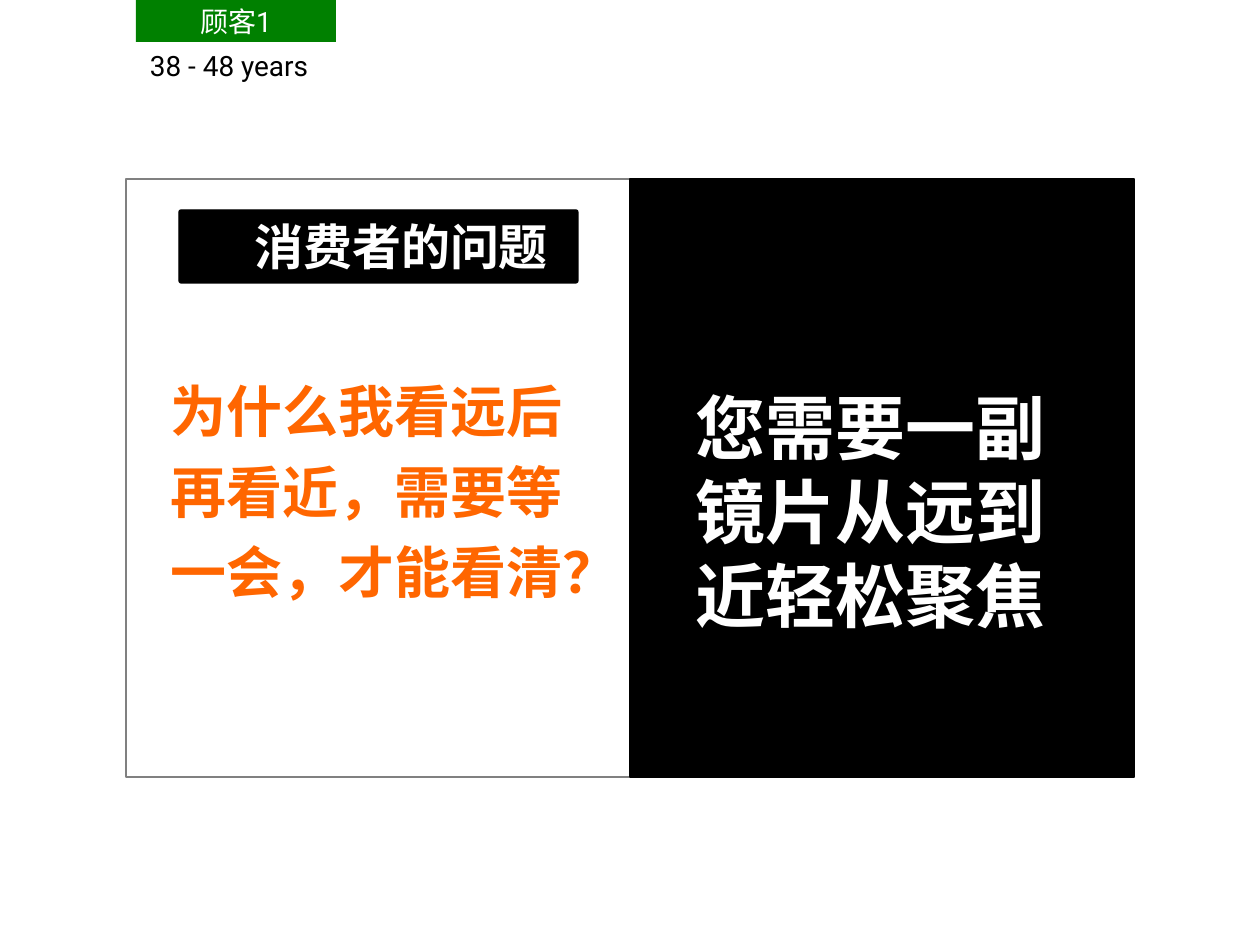
from pptx import Presentation, util as u
from pptx.dml.color import RGBColor
from pptx.enum import shapes as s, text as t

PX = 914400 / 126  # EMU per px


def rgb(value):
    return RGBColor.from_string(value)


def write(shape, words, color, wrap, spacing=None, align=None, **font):
    frame = shape.text_frame
    frame.word_wrap = wrap
    paragraph = frame.paragraphs[0]
    paragraph.line_spacing = spacing
    paragraph.alignment = align
    run = paragraph.add_run()
    run.text = words
    run.font.color.rgb = rgb(color)
    for key, value in font.items():
        setattr(run.font, key, value)


deck = Presentation()
deck.slide_width, deck.slide_height = u.Inches(10), u.Inches(7.5)
slide = deck.slides.add_slide(deck.slide_layouts[6])

# Fonts shared by the headline texts and by the customer label
customer = dict(name="Roboto", size=u.Pt(16), align=t.PP_ALIGN.CENTER)
heading = dict(name="Arial", size=u.Pt(28), bold=True)
question = dict(name="Noto Sans CJK SC", size=u.Pt(32), bold=True, spacing=1.2)
answer = dict(name="Arial", size=u.Pt(40), bold=True)

# Parts from back to front: box, preset, fill, line, words, colour, wrap, format
RECT, ROUND = s.MSO_SHAPE.RECTANGLE, s.MSO_SHAPE.ROUNDED_RECTANGLE
parts = [
    # Consumer's question and its heading bar
    ((158, 357, 462, 335), None, None, None,
     "为什么我看远后再看近，需要等一会，才能看清？", "FF6600", True, question),
    ((179, 210, 399, 73), ROUND, "000000", "000000", None, None, None, None),
    ((242, 210, 319, 72), None, None, None, "消费者的问题", "FFFFFF", False, heading),
    # Outer frame and black answer panel
    ((126, 179, 1008, 598), RECT, None, "808080", None, None, None, None),
    ((630, 179, 504, 598), RECT, "000000", "000000", None, None, None, None),
    ((683, 378, 410, 265), None, None, None,
     "您需要一副镜片从远到近轻松聚焦", "FFFFFF", True, answer),
    # Customer label and age range
    ((136, 0, 200, 42), RECT, "008000", None, "顾客1", "FFFFFF", False, customer),
    ((136, 42, 186, 47), None, None, None, "38 - 48 years", "000000", False, customer),
]

for box, preset, fill, line, words, color, wrap, style in parts:
    place = [round(length * PX) for length in box]
    if preset is None:
        part = slide.shapes.add_textbox(*place)
        part.text_frame.auto_size = t.MSO_AUTO_SIZE.SHAPE_TO_FIT_TEXT
    else:
        part = slide.shapes.add_shape(preset, *place)
        part.shadow.inherit = False
        if preset == ROUND:
            part.adjustments[0] = 0.03
        if fill:
            part.fill.solid()
            part.fill.fore_color.rgb = rgb(fill)
        else:
            part.fill.background()
        if line:
            part.line.color.rgb = rgb(line)
            part.line.width = u.Pt(0.75)
        else:
            part.line.fill.background()
    if words:
        write(part, words, color, wrap, **style)

deck.save("out.pptx")
